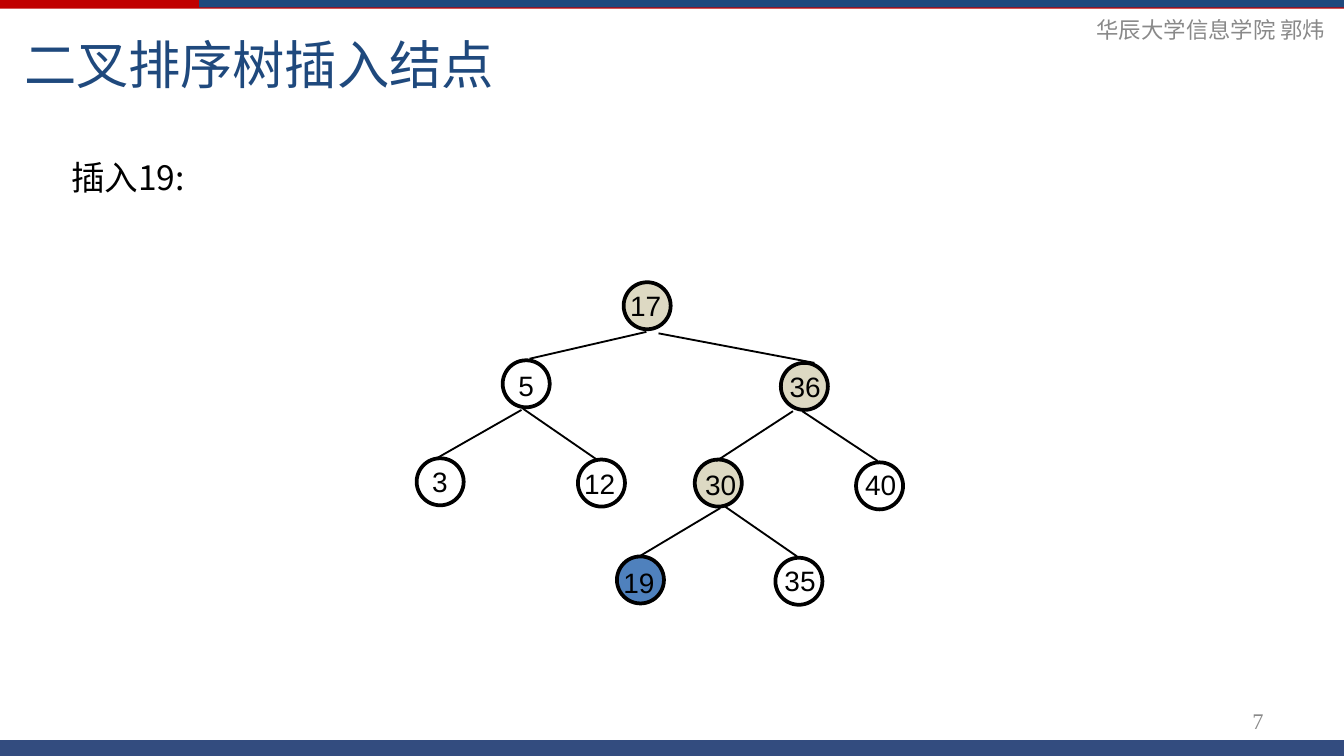
from lxml.etree import SubElement
from pptx import Presentation
from pptx.dml.color import RGBColor
from pptx.enum.shapes import MSO_CONNECTOR, MSO_SHAPE as SHAPE
from pptx.enum.text import MSO_ANCHOR as ANCHOR, PP_ALIGN as ALIGN
from pptx.oxml.ns import qn
from pptx.util import Pt

RED = RGBColor(0xC0, 0x00, 0x00)
BLUE = RGBColor(0x1F, 0x49, 0x7D)
NAVY = RGBColor(0x00, 0x20, 0x60)
GREY = RGBColor(0x89, 0x89, 0x89)
BLACK = RGBColor(0x00, 0x00, 0x00)
VISITED = RGBColor(0xDD, 0xD9, 0xC3)
INSERTED = RGBColor(0x4F, 0x81, 0xBD)

prs = Presentation()
prs.slide_width, prs.slide_height = Pt(720), Pt(405)
slide = prs.slides.add_slide(prs.slide_layouts[6])
shapes = slide.shapes


def add_figure(kind, x, y, width, height, fill):
    figure = shapes.add_shape(kind, Pt(x), Pt(y), Pt(width), Pt(height))
    figure.shadow.inherit = False
    if fill is None:
        figure.fill.background()
    else:
        figure.fill.solid()
        figure.fill.fore_color.rgb = fill
    figure.line.fill.background()
    return figure


def add_text(text, x, y, width, height, size, font, color,
             align=ALIGN.LEFT, anchor=ANCHOR.TOP, wrap=True):
    frame = shapes.add_textbox(Pt(x), Pt(y), Pt(width), Pt(height)).text_frame
    frame.word_wrap = wrap
    frame.vertical_anchor = anchor
    paragraph = frame.paragraphs[0]
    paragraph.text = text
    paragraph.alignment = align
    paragraph.font.size = Pt(size)
    paragraph.font.name = font
    paragraph.font.color.rgb = color


# Bars at the top and bottom
add_figure(SHAPE.RECTANGLE, 0, 0, 720, 4.7, RED)
add_figure(SHAPE.RECTANGLE, 106.7, 0, 613.3, 4, BLUE)
footer = add_figure(SHAPE.RECTANGLE, 0, 396.5, 720, 8.5, NAVY)
footer_color = footer.fill._xPr.find(qn("a:solidFill"))[0]
SubElement(footer_color, qn("a:alpha"), val="80000")

# Header, title, page number and task
add_text("华辰大学信息学院 郭炜", 549.4, 5, 167.8, 21.6, 12, "Times New Roman",
         GREY, ALIGN.RIGHT, ANCHOR.MIDDLE)
add_text("二叉排序树插入结点", 5.8, 11.5, 714.2, 44.6, 28, "Arial", BLUE,
         anchor=ANCHOR.MIDDLE)
add_text("7", 516.2, 375.1, 167.8, 21.6, 12, "Times New Roman",
         GREY, ALIGN.RIGHT, ANCHOR.MIDDLE)
add_text("插入19:", 31, 80.6, 76.3, 28.8, 18, "Noto Sans CJK SC", BLACK)

# Tree nodes: label, left, top, fill, label left, label top, label width
NODE = 25.2
nodes = [
    ("17", 334.1, 151.2, VISITED, 330.5, 151.2, 31.7),
    (" 5", 269.3, 193, None, 266.4, 193.7, 27.4),
    (" 36", 418.3, 194.4, VISITED, 411.8, 194.4, 35.3),
    (" 3", 223.2, 245.5, None, 220.3, 245.5, 27.4),
    (" 12", 309.6, 246.2, None, 301.7, 246.2, 35.3),
    (" 30", 372.2, 246.2, VISITED, 366.5, 247, 35.3),
    (" 40", 458.6, 247.7, None, 452.2, 247, 35.3),
    ("19", 330.5, 298.1, INSERTED, 326.9, 299.5, 31.7),
    (" 35", 415.4, 298.8, None, 409, 298.1, 35.3),
]
for label, x, y, fill, label_x, label_y, label_width in nodes:
    node = add_figure(SHAPE.OVAL, x, y, NODE, NODE, fill)
    node.line.color.rgb = BLACK
    node.line.width = Pt(2)
    add_text(label, label_x, label_y, label_width, NODE, 15, "Arial", BLACK,
             wrap=False)

# Tree edges, from parent to child
edges = [
    (346.3, 177.8, 283.7, 192.2),  # 17 to 5
    (352.8, 178.6, 436.3, 194.4),  # 17 to 36
    (279.4, 219.6, 234, 245.5),    # 5 to 3
    (280.1, 218.9, 319.7, 246.2),  # 5 to 12
    (424.8, 220.3, 383.8, 247),    # 36 to 30
    (429.8, 220.3, 470.2, 247),    # 36 to 40
    (385.9, 272.2, 341.3, 298.8),  # 30 to 19
    (387.4, 270.7, 427, 298.1),    # 30 to 35
]
for ends in edges:
    edge = shapes.add_connector(MSO_CONNECTOR.STRAIGHT, *map(Pt, ends))
    edge.line.color.rgb = BLACK
    edge.line.width = Pt(1)
    SubElement(edge._element.spPr, qn("a:effectLst"))

prs.save("out.pptx")
